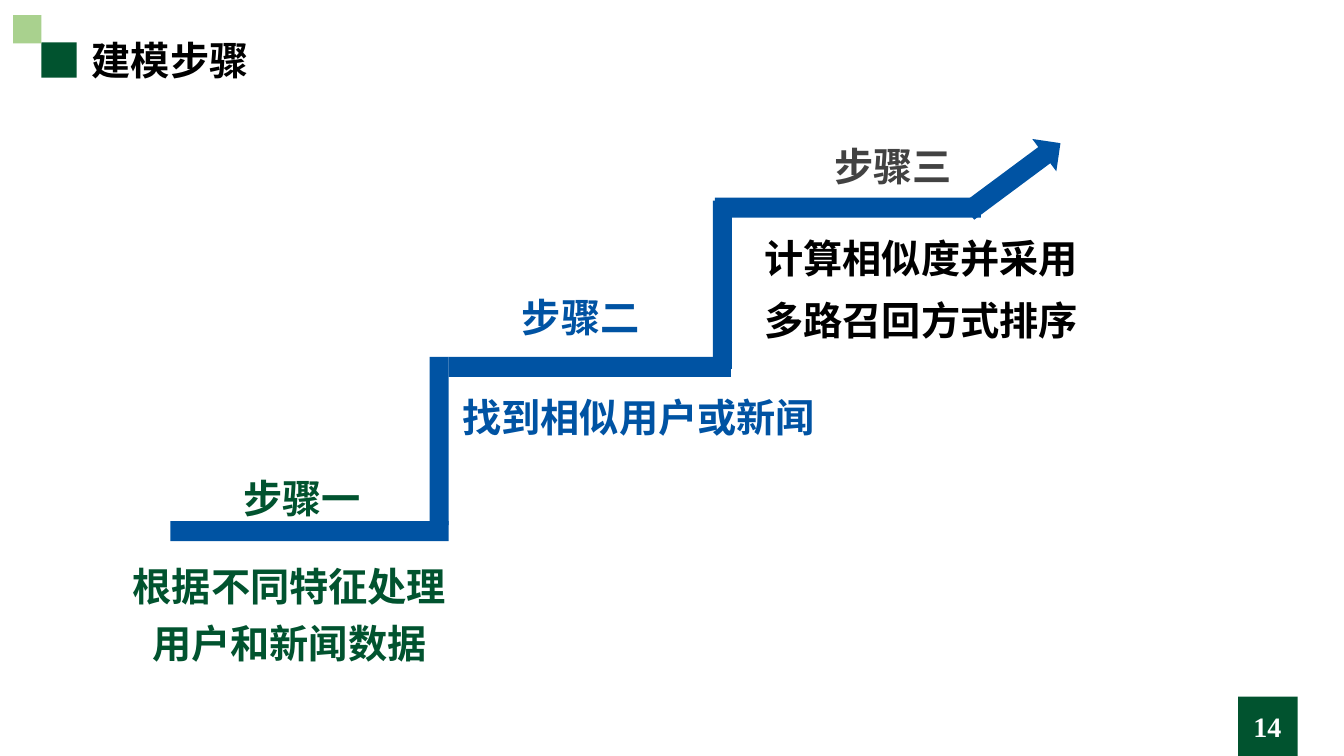
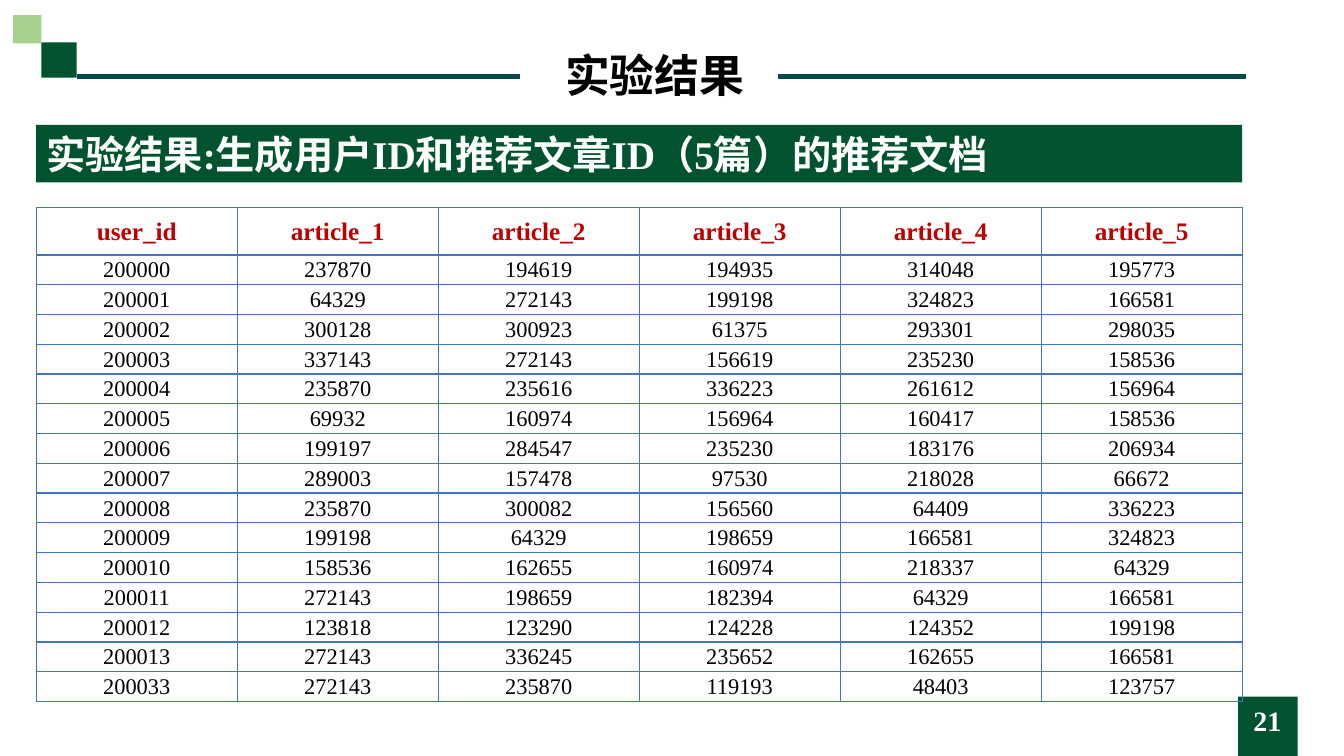
from pptx import Presentation
from pptx.dml.color import RGBColor
from pptx.enum import shapes, text
from pptx.oxml import parse_xml
from pptx.oxml.ns import nsdecls
from pptx.util import Inches, Pt

COLORS = {
    "green": "01532F", "light green": "A9D18E", "blue": "0053A3", "grey": "424242",
    "black": "000000", "white": "FFFFFF", "red": "C00000", "teal": "05484C", "border": "4472C4",
}
LEFT, CENTER = text.PP_ALIGN.LEFT, text.PP_ALIGN.CENTER
TOP, MIDDLE = text.MSO_ANCHOR.TOP, text.MSO_ANCHOR.MIDDLE
MARGIN, CONTENT_WIDTH = 0.36, 11.96


def write(frame, words, size=28, color="black", bold=True, align=CENTER, anchor=TOP,
          spacing=1.0, font="Times New Roman"):
    frame.word_wrap = True
    frame.auto_size = text.MSO_AUTO_SIZE.NONE
    frame.vertical_anchor = anchor
    paragraph = frame.paragraphs[0]
    paragraph.alignment = align
    paragraph.line_spacing = spacing
    run = paragraph.add_run()
    run.text = words
    run.font.name, run.font.size, run.font.bold = font, Pt(size), bold
    run.font.color.rgb = RGBColor.from_string(COLORS[color])


def add_block(slide, box, color, preset=shapes.MSO_SHAPE.RECTANGLE):
    """Add a borderless, shadowless shape in one solid colour."""
    block = slide.shapes.add_shape(preset, *map(Inches, box))
    block.shadow.inherit = False
    block.fill.solid()
    block.fill.fore_color.rgb = RGBColor.from_string(COLORS[color])
    block.line.fill.background()
    return block


prs = Presentation()
prs.slide_width, prs.slide_height = Inches(13.33), Inches(7.5)
layout = prs.slide_layouts.get_by_name("Title Only")
steps = prs.slides.add_slide(layout)
results = prs.slides.add_slide(layout)

# Corner squares and page-number square live on the shared layout
squares = [
    ((0.41, 0.42, 0.35, 0.35), "green"),
    ((0.13, 0.15, 0.28, 0.28), "light green"),
    ((12.28, 6.91, 0.59, 0.59), "green"),
]
for number, (box, color) in enumerate(squares):
    square = add_block(steps, box, color).element
    square.nvSpPr.cNvPr.set("id", str(20 + number))
    layout.shapes.element.insert(2 + number, square)

# Titles and page numbers
headings = [
    (steps, "建模步骤", (0.81, 0.31, 5.91, 0.57), dict(align=LEFT), "14", 7.01),
    (results, "实验结果", (4.75, 0.42, 3.49, 0.64), dict(size=32, font="DejaVu Sans"), "21", 6.95),
]
for slide, words, box, style, page, page_top in headings:
    title = slide.shapes.title
    title.left, title.top, title.width, title.height = map(Inches, box)
    write(title.text_frame, words, **style)
    page_box = slide.shapes.add_textbox(Inches(11.81), Inches(page_top), Inches(1.52), Inches(0.4))
    write(page_box.text_frame, page, size=20, color="white", anchor=MIDDLE)

# Staircase of modelling steps
step_texts = [
    ("步骤一", (1.83, 4.52, 2.33, 0.65), "green", 1.3),
    ("根据不同特征处理用户和新闻数据", (1.16, 5.44, 3.42, 1.18), "green", 1.2),
    ("步骤二", (4.88, 2.86, 1.76, 0.57), "blue", 1.0),
    ("找到相似用户或新闻", (4.45, 3.71, 3.77, 0.65), "blue", 1.3),
    ("步骤三", (7.66, 1.22, 2.4, 0.65), "grey", 1.3),
    ("计算相似度并采用多路召回方式排序", (7.38, 2.14, 3.51, 1.27), "black", 1.3),
]
for words, box, color, spacing in step_texts:
    step_box = steps.shapes.add_textbox(*map(Inches, box))
    write(step_box.text_frame, words, color=color, spacing=spacing)

for left, top, width in [(1.69, 5.17, 2.76), (4.45, 3.54, 2.8), (7.09, 1.96, 2.64)]:
    add_block(steps, (left, top, width, 0.2), "blue")
for left, top in [(4.26, 3.54), (7.07, 1.99)]:
    add_block(steps, (left, top, 0.19, 1.67), "blue")
arrow = add_block(steps, (9.49, 1.56, 1.14, 0.4), "blue", shapes.MSO_SHAPE.LEFT_ARROW)
arrow.rotation = 143.4

# Recommendation table
recommendations = [
    ["user_id", "article_1", "article_2", "article_3", "article_4", "article_5"],
    [200000, 237870, 194619, 194935, 314048, 195773],
    [200001, 64329, 272143, 199198, 324823, 166581],
    [200002, 300128, 300923, 61375, 293301, 298035],
    [200003, 337143, 272143, 156619, 235230, 158536],
    [200004, 235870, 235616, 336223, 261612, 156964],
    [200005, 69932, 160974, 156964, 160417, 158536],
    [200006, 199197, 284547, 235230, 183176, 206934],
    [200007, 289003, 157478, 97530, 218028, 66672],
    [200008, 235870, 300082, 156560, 64409, 336223],
    [200009, 199198, 64329, 198659, 166581, 324823],
    [200010, 158536, 162655, 160974, 218337, 64329],
    [200011, 272143, 198659, 182394, 64329, 166581],
    [200012, 123818, 123290, 124228, 124352, 199198],
    [200013, 272143, 336245, 235652, 162655, 166581],
    [200033, 272143, 235870, 119193, 48403, 123757],
]
HEADER_HEIGHT, TABLE_HEIGHT = 0.47, 4.9
row_height = (TABLE_HEIGHT - HEADER_HEIGHT) / (len(recommendations) - 1)
table = results.shapes.add_table(
    len(recommendations), len(recommendations[0]),
    Inches(MARGIN), Inches(2.06), Inches(CONTENT_WIDTH), Inches(TABLE_HEIGHT)).table
table.horz_banding = False
for r, record in enumerate(recommendations):
    table.rows[r].height = Inches(row_height if r else HEADER_HEIGHT)
    style = dict(size=16, bold=False) if r else dict(size=18, color="red")
    for c, value in enumerate(record):
        cell = table.cell(r, c)
        cell.margin_left = cell.margin_right = cell.margin_top = Inches(0.01)
        cell.margin_bottom = 0
        write(cell.text_frame, str(value), **style)
        cell.vertical_anchor = MIDDLE
        cell.fill.background()
        for position, side in enumerate(["lnL", "lnR", "lnT", "lnB"]):
            cell._tc.tcPr.insert(position, parse_xml(
                f'<a:{side} {nsdecls("a")} w="{Pt(1)}"><a:solidFill>'
                f'<a:srgbClr val="{COLORS["border"]}"/></a:solidFill></a:{side}>'))

# Banner and the rules beside the title
banner = add_block(results, (MARGIN, 1.24, CONTENT_WIDTH, 0.57), "green")
write(banner.text_frame, "实验结果:生成用户ID和推荐文章ID（5篇）的推荐文档",
      color="white", align=LEFT, anchor=MIDDLE)
for start, end in [(0.76, 5.16), (7.72, 12.36)]:
    rule = results.shapes.add_connector(
        shapes.MSO_CONNECTOR.STRAIGHT, Inches(start), Inches(0.76), Inches(end), Inches(0.76))
    rule.line.width = Pt(3)
    rule.line.color.rgb = RGBColor.from_string(COLORS["teal"])
    rule.element.spPr.append(parse_xml(f'<a:effectLst {nsdecls("a")}/>'))

prs.save("out.pptx")
